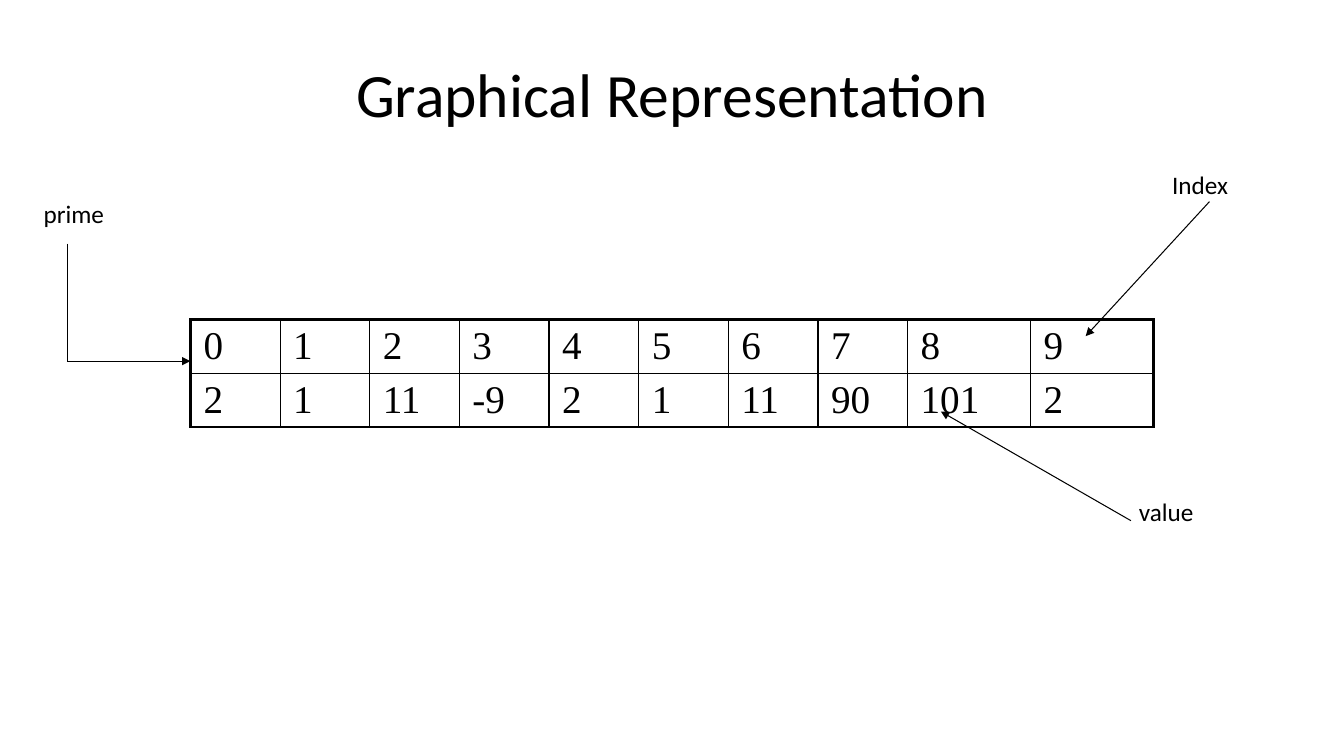
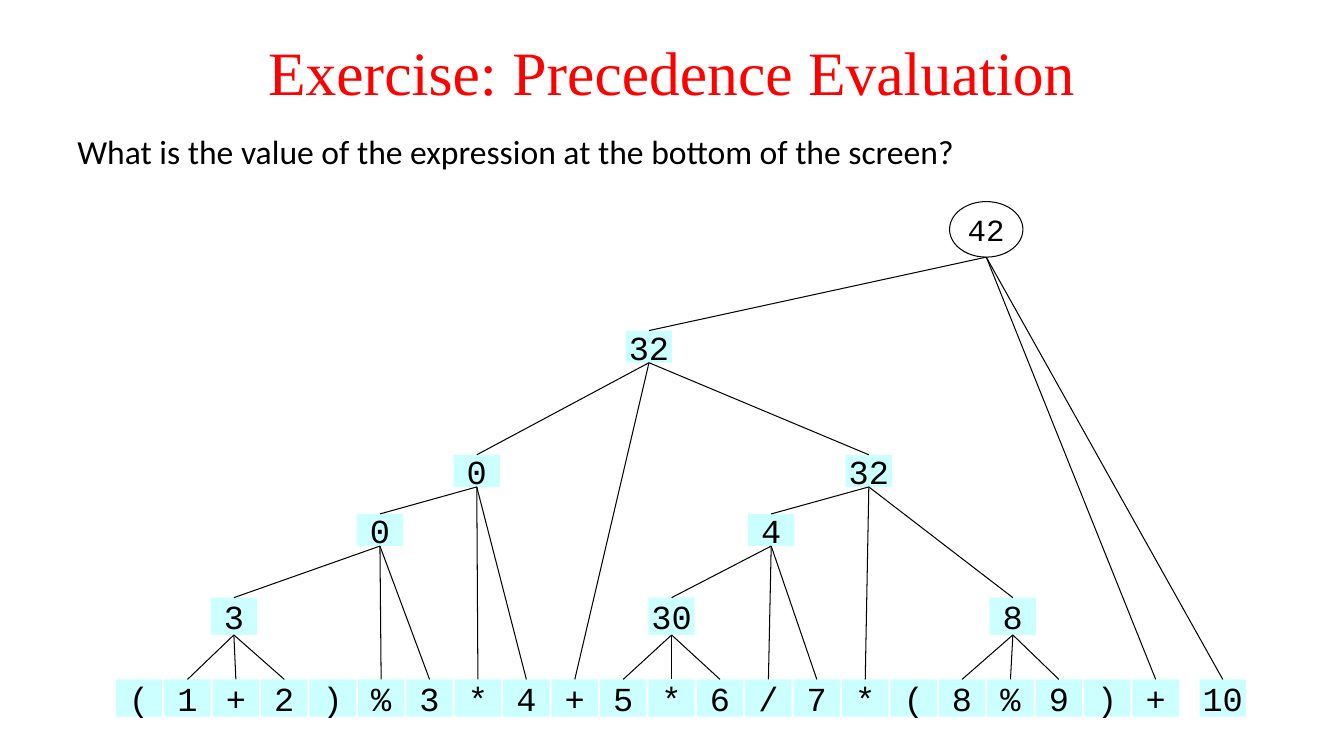
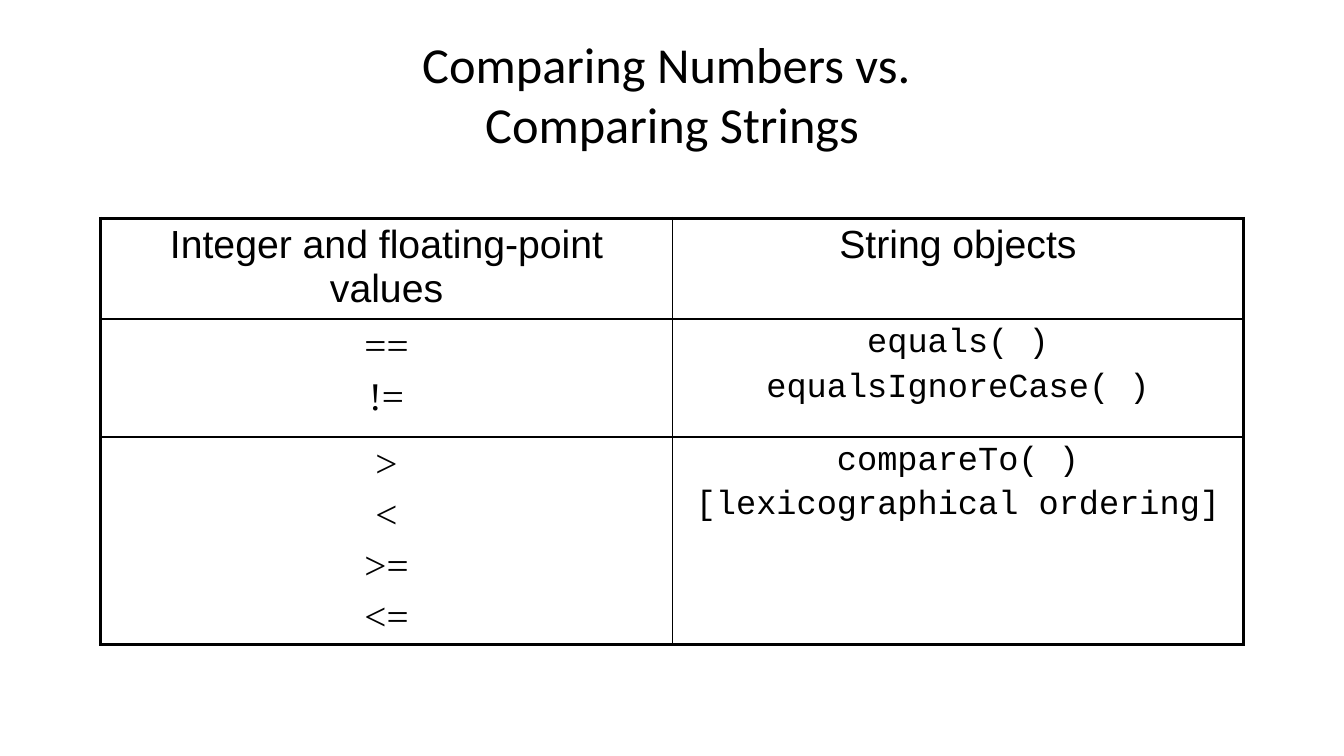
from copy import deepcopy

from pptx import Presentation
from pptx.dml.color import RGBColor
from pptx.enum.shapes import MSO_CONNECTOR, MSO_SHAPE
from pptx.enum.text import MSO_ANCHOR, MSO_AUTO_SIZE, PP_ALIGN
from pptx.oxml.ns import qn
from pptx.oxml.xmlchemy import OxmlElement
from pptx.util import Cm, Pt

BLACK = RGBColor(0x00, 0x00, 0x00)
RED = RGBColor(0xFF, 0x00, 0x00)
WHITE = RGBColor(0xFF, 0xFF, 0xFF)
CYAN = RGBColor(0xCC, 0xFF, 0xFF)
RECTANGLE, OVAL = MSO_SHAPE.RECTANGLE, MSO_SHAPE.OVAL
STRAIGHT = MSO_CONNECTOR.STRAIGHT
MIDDLE = MSO_ANCHOR.MIDDLE
FIT_SHAPE = MSO_AUTO_SIZE.SHAPE_TO_FIT_TEXT
LEFT, CENTER, JUSTIFY = PP_ALIGN.LEFT, PP_ALIGN.CENTER, PP_ALIGN.JUSTIFY
TITLE_ONLY = 5
TOP_SIDE, BOTTOM_SIDE = 0, 2
THIN, HAIR, THICK = Pt(1), Pt(0.75), Pt(2.25)

# Text formats
TITLE = {"name": "Calibri", "size": Pt(44)}
SMALL_TITLE = {"name": "Calibri", "size": Pt(36)}
SERIF_TITLE = {"name": "Times New Roman", "size": Pt(44)}
LABEL = {"name": "Calibri", "size": Pt(18)}
PROMPT = {"name": "Calibri", "size": Pt(24)}
SERIF = {"name": "Times New Roman", "size": Pt(28)}
HEADING = {"name": "Arial", "size": Pt(28)}
CODE = {"name": "Courier New", "size": Pt(24)}
ROOT_CODE = {"name": "Courier New", "size": Pt(22)}

# Array slide, lengths in cm
TITLE_AREA = (1.7, 0.76, 30.48, 3.18)
ARRAY_ROWS = [
    [([text], SERIF) for text in row.split()]
    for row in ("0 1 2 3 4 5 6 7 8 9", "2 1 11 -9 2 1 11 90 101 2")
]
ARRAY_COLUMNS = [2.26] * 8 + [3.1] * 2
ARRAY_LABELS = [
    ("prime", (0.85, 4.87, 2.29, 1.02)),
    ("Index", (29.29, 4.13, 2.2, 1.02)),
    ("value", (28.45, 12.39, 2.23, 1.02)),
]
ARRAY_LINES = [  # start, end, arrowhead
    ((1.7, 6.14), (1.7, 9.1), False),
    ((1.7, 9.1), (4.8, 9.1), True),
    ((30.48, 5.08), (27.36, 8.47), True),
    ((28.5, 13.12), (23.71, 10.37), True),
]

# Expression slide
QUESTION = "What is the value of the expression at the bottom of the screen?"
TOKENS = "( 1 + 2 ) % 3 * 4 + 5 * 6 / 7 * ( 8 % 9 ) +".split()
TOKEN_LEFT, TOKEN_PITCH, TOKEN_TOP = 2.92, 1.22, 17.12
LAST_TOKEN = ("10", 30.23)
BOX_WIDTH, LOW_HEIGHT, HIGH_HEIGHT = 1.17, 0.94, 0.81
NODES = [  # name, text, left, top, height, operands: token numbers or names
    ("add", "3", 5.31, 15.06, LOW_HEIGHT, (1, 2, 3)),
    ("first mod", "0", 8.99, 12.95, HIGH_HEIGHT, ("add", 5, 6)),
    ("times four", "0", 11.43, 11.46, HIGH_HEIGHT, ("first mod", 7, 8)),
    ("five by six", "30", 16.34, 15.06, LOW_HEIGHT, (10, 11, 12)),
    ("divide", "4", 18.85, 12.95, HIGH_HEIGHT, ("five by six", 13, 14)),
    ("second mod", "8", 24.94, 15.06, LOW_HEIGHT, (17, 18, 19)),
    ("product", "32", 21.31, 11.46, HIGH_HEIGHT, ("divide", 15, "second mod")),
    ("sum", "32", 15.77, 8.33, HIGH_HEIGHT, ("times four", 9, "product")),
]
ROOT_TEXT, ROOT_AREA = "42", (23.93, 5.08, 1.85, 1.4)
ROOT_OPERANDS = ("sum", 21, 22)

# Comparison slide
COMPARISON_ROWS = [
    [(["Integer and floating-point values"], HEADING),
     (["String objects"], HEADING)],
    [(["==", "!="], SERIF),
     (["equals( )", "equalsIgnoreCase( )"], CODE)],
    [([">", "<", ">=", "<="], SERIF),
     (["compareTo( )", "[lexicographical ordering]"], CODE)],
]


def cm(values):
    return [Cm(value) for value in values]


def write(frame, lines, style, align=LEFT, color=BLACK):
    """Fill a text frame with one paragraph a line, in one format."""
    frame.text = "\n".join(lines)
    for number, para in enumerate(frame.paragraphs):
        para.alignment = align
        if number:
            para.space_before = Pt(style["size"].pt * 0.2)
        for span in para.runs:
            for name, value in style.items():
                setattr(span.font, name, value)
            span.font.color.rgb = color
        # Line breaks take the size of the text around them
        for line_break in para._p.findall(qn("a:br")):
            line_break.insert(0, deepcopy(para.runs[0]._r.rPr))


def add_page(deck, title, style=TITLE, area=TITLE_AREA, color=BLACK):
    page = deck.slides.add_slide(deck.slide_layouts[TITLE_ONLY])
    box = page.shapes.title
    box.left, box.top, box.width, box.height = cm(area)
    box.text_frame.vertical_anchor = MIDDLE
    write(box.text_frame, [title], style, CENTER, color)
    return page


def add_label(page, text, area, style, align=LEFT, wrap=False):
    frame = page.shapes.add_textbox(*cm(area)).text_frame
    frame.word_wrap = wrap
    frame.auto_size = FIT_SHAPE
    write(frame, [text], style, align)
    return frame


def add_line(page, start, end, arrow=False):
    line = page.shapes.add_connector(STRAIGHT, *start, *end)
    line.line.color.rgb = BLACK
    line.line.width = HAIR
    if arrow:
        head = OxmlElement("a:tailEnd")
        head.set("type", "triangle")
        line.line._get_or_add_ln().append(head)
    line._element.spPr.append(OxmlElement("a:effectLst"))
    return line


def add_node(page, text, area, preset=RECTANGLE, fill=CYAN, style=CODE):
    node = page.shapes.add_shape(preset, *cm(area))
    node.shadow.inherit = False
    node.fill.solid()
    node.fill.fore_color.rgb = fill
    node.line.fill.background()
    node.text_frame.word_wrap = False
    node.text_frame.vertical_anchor = MIDDLE
    write(node.text_frame, [text], style, CENTER)
    return node


def add_edges(page, parent, children):
    """Join the bottom of a node with the top of each operand."""
    start = (parent.left + parent.width // 2, parent.top + parent.height)
    for child in children:
        edge = add_line(page, start, (child.left + child.width // 2, child.top))
        if parent.auto_shape_type == RECTANGLE:
            edge.begin_connect(parent, BOTTOM_SIDE)
        edge.end_connect(child, TOP_SIDE)


def set_border(cell, side, width):
    border = OxmlElement(f"a:{side}")
    border.set("w", str(int(width)))
    fill = OxmlElement("a:solidFill")
    color = OxmlElement("a:srgbClr")
    color.set("val", str(BLACK))
    fill.append(color)
    border.append(fill)
    cell._tc.get_or_add_tcPr().append(border)


def add_grid(page, left, top, widths, heights, rows, align=LEFT):
    """Add a table with thick outer and thin inner borders."""
    table = page.shapes.add_table(
        len(heights), len(widths),
        *cm((left, top, sum(widths), sum(heights)))).table
    table.first_row = table.horz_banding = False
    for column, width in zip(table.columns, widths):
        column.width = Cm(width)
    for row, height in zip(table.rows, heights):
        row.height = Cm(height)
    for r, row in enumerate(rows):
        for c, (lines, style) in enumerate(row):
            cell = table.cell(r, c)
            cell.margin_left = cell.margin_right = Cm(0.33)
            cell.margin_top = cell.margin_bottom = Cm(0.13)
            write(cell.text_frame, lines, style, align)
            outer = {"lnL": c == 0, "lnR": c == len(widths) - 1,
                     "lnT": r == 0, "lnB": r == len(heights) - 1}
            for side, is_outer in outer.items():
                set_border(cell, side, THICK if is_outer else THIN)
            cell.fill.background()


def build_array(deck):
    page = add_page(deck, "Graphical Representation")
    add_grid(page, 4.8, 8.05, ARRAY_COLUMNS, [1.35] * 2, ARRAY_ROWS)
    for text, area in ARRAY_LABELS:
        add_label(page, text, area, LABEL)
    for start, end, arrow in ARRAY_LINES:
        add_line(page, cm(start), cm(end), arrow)


def build_expression(deck):
    page = add_page(deck, "Exercise: Precedence Evaluation", SERIF_TITLE,
                    (0, 0.2, 33.87, 3.18), RED)
    prompt = add_label(page, QUESTION, (1.7, 3.3, 30.48, 1.17), PROMPT,
                       JUSTIFY, wrap=True)
    prompt.paragraphs[0].line_spacing = 0.9

    # Expression along the bottom
    tokens = [(text, TOKEN_LEFT + TOKEN_PITCH * number)
              for number, text in enumerate(TOKENS)] + [LAST_TOKEN]
    nodes = {
        number: add_node(page, text, (left, TOKEN_TOP, BOX_WIDTH, LOW_HEIGHT))
        for number, (text, left) in enumerate(tokens)
    }

    # Evaluation tree, operands before results
    for name, text, left, top, height, operands in NODES:
        nodes[name] = add_node(page, text, (left, top, BOX_WIDTH, height))
        add_edges(page, nodes[name], [nodes[key] for key in operands])
    root = add_node(page, ROOT_TEXT, ROOT_AREA, OVAL, WHITE, ROOT_CODE)
    root.line.color.rgb = BLACK
    root.line.width = HAIR
    add_edges(page, root, [nodes[key] for key in ROOT_OPERANDS])


def build_comparison(deck):
    page = add_page(deck, "Comparing Numbers vs. \vComparing Strings",
                    SMALL_TITLE)
    add_grid(page, 2.54, 5.5, [14.4] * 2, [2.54, 2.97, 5.2],
             COMPARISON_ROWS, CENTER)


def main():
    deck = Presentation()
    deck.slide_width, deck.slide_height = Cm(33.87), Cm(19.05)
    build_array(deck)
    build_expression(deck)
    build_comparison(deck)
    deck.save("out.pptx")


if __name__ == "__main__":
    main()
